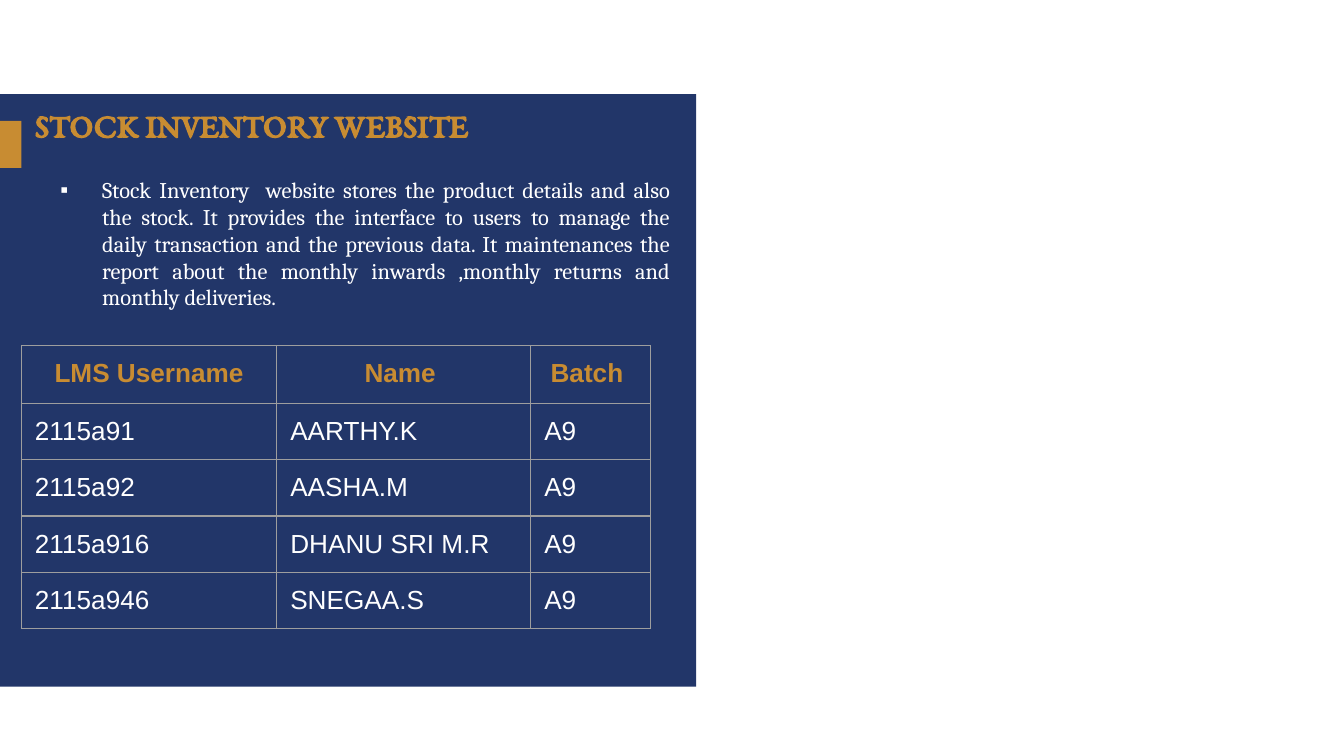
from typing import NamedTuple

from lxml.etree import SubElement
from pptx import Presentation
from pptx.dml.color import RGBColor
from pptx.enum.shapes import MSO_SHAPE
from pptx.enum.text import MSO_ANCHOR, MSO_AUTO_SIZE, PP_ALIGN
from pptx.oxml.ns import qn
from pptx.util import Inches, Pt

NAVY = RGBColor(0x22, 0x36, 0x69)
GOLD = RGBColor(0xC8, 0x8C, 0x32)
WHITE = RGBColor(0xFF, 0xFF, 0xFF)
GREY = RGBColor(0x9E, 0x9E, 0x9E)

WIDTH = Inches(10)
HEIGHT = WIDTH * 9 // 16
MARGIN = Inches(0.16)


class Area(NamedTuple):
    left: int
    top: int
    width: int
    height: int


class Band(NamedTuple):
    area: Area
    color: RGBColor


class TextStyle(NamedTuple):
    name: str
    size: Pt
    color: RGBColor
    bold: bool = False


TITLE_STYLE = TextStyle("EB Garamond", Pt(18.3), GOLD, True)
SUMMARY_STYLE = TextStyle("Cambria", Pt(12), WHITE)
HEADER_STYLE = TextStyle("Arial", Pt(14), GOLD, True)
MEMBER_STYLE = TextStyle("Arial", Pt(14), WHITE)

BANDS = [
    Band(Area(0, Inches(0.7), Inches(5.18), Inches(4.41)), NAVY),
    Band(Area(0, Inches(0.9), MARGIN, Inches(0.35)), GOLD),
]
TITLE_AREA = Area(MARGIN, Inches(0.73), Inches(4.21), Inches(0.38))
SUMMARY_AREA = Area(MARGIN, Inches(1.26), Inches(4.93), Inches(1.12))

SUMMARY = (
    "Stock Inventory  website stores the product details and also the stock. "
    "It provides the interface to users to manage the daily transaction and the "
    "previous data. It maintenances the report about the monthly inwards ,monthly "
    "returns and monthly deliveries."
)
COLUMN_WIDTHS = [Inches(1.9), Inches(1.89), Inches(0.89)]
HEADER_HEIGHT, MEMBER_HEIGHT = Inches(0.43), Inches(0.42)
TEAM = [
    ("LMS Username", "Name ", "Batch "),
    ("2115a91", "AARTHY.K", "A9"),
    ("2115a92", "AASHA.M", "A9"),
    ("2115a916", "DHANU SRI M.R", "A9"),
    ("2115a946", "SNEGAA.S", "A9"),
]


def write(frame, text: str, style: TextStyle, align: PP_ALIGN):
    paragraph = frame.paragraphs[0]
    paragraph.alignment = align
    run = paragraph.add_run()
    run.text = text
    for attribute, value in style._asdict().items():
        if attribute == "color":
            run.font.color.rgb = value
        else:
            setattr(run.font, attribute, value)
    return paragraph


def fill_placeholder(holder, area: Area, anchor: MSO_ANCHOR, text: str,
                     style: TextStyle, align: PP_ALIGN):
    for attribute, value in area._asdict().items():
        setattr(holder, attribute, value)
    frame = holder.text_frame
    settings = {"auto_size": MSO_AUTO_SIZE.NONE, "word_wrap": True,
                "vertical_anchor": anchor}
    for attribute, value in settings.items():
        setattr(frame, attribute, value)
    paragraph = write(frame, text, style, align)
    paragraph.space_before = Pt(0)
    return paragraph


def add_bullet(paragraph, mark: str, color: RGBColor) -> None:
    properties = paragraph._p.get_or_add_pPr()
    properties.set("marL", str(Inches(0.5)))
    properties.set("indent", str(Inches(-0.31)))
    bullet_color = SubElement(properties, qn("a:buClr"))
    SubElement(bullet_color, qn("a:srgbClr"), val=str(color))
    SubElement(properties, qn("a:buFont"), typeface="Arial")
    SubElement(properties, qn("a:buChar"), char=mark)


def draw_band(slide, band: Band, depth: int) -> None:
    """Draw a plain rectangle behind the placeholders, depth 0 being rearmost."""
    shape = slide.shapes.add_shape(MSO_SHAPE.RECTANGLE, *band.area)
    shape.shadow.inherit = False
    shape.fill.solid()
    shape.fill.fore_color.rgb = band.color
    shape.line.fill.background()
    slide.shapes._spTree.insert(2 + depth, shape._element)


def outline_cell(cell) -> None:
    properties = cell._tc.get_or_add_tcPr()
    for position, side in enumerate(("a:lnL", "a:lnR", "a:lnT", "a:lnB")):
        line = SubElement(properties, qn(side), w=str(Pt(0.75)))
        fill = SubElement(line, qn("a:solidFill"))
        SubElement(fill, qn("a:srgbClr"), val=str(GREY))
        properties.insert(position, line)


def draw_team_table(slide) -> None:
    heights = [HEADER_HEIGHT] + [MEMBER_HEIGHT] * (len(TEAM) - 1)
    table = slide.shapes.add_table(
        len(TEAM), len(COLUMN_WIDTHS), MARGIN, Inches(2.57),
        sum(COLUMN_WIDTHS), sum(heights)).table
    table.first_row = table.horz_banding = False
    for column, width in zip(table.columns, COLUMN_WIDTHS):
        column.width = width
    for row, height, entries in zip(table.rows, heights, TEAM):
        row.height = height
        is_header = entries is TEAM[0]
        style = HEADER_STYLE if is_header else MEMBER_STYLE
        align = PP_ALIGN.CENTER if is_header else PP_ALIGN.LEFT
        for cell, entry in zip(row.cells, entries):
            for side in ("left", "right", "top", "bottom"):
                setattr(cell, f"margin_{side}", Inches(0.1))
            cell.fill.background()
            outline_cell(cell)
            write(cell.text_frame, entry, style, align)


def main() -> None:
    deck = Presentation()
    deck.slide_width, deck.slide_height = WIDTH, HEIGHT
    slide = deck.slides.add_slide(deck.slide_layouts[1])
    for depth, band in enumerate(BANDS):
        draw_band(slide, band, depth)
    fill_placeholder(slide.shapes.title, TITLE_AREA, MSO_ANCHOR.MIDDLE,
                     "STOCK INVENTORY WEBSITE", TITLE_STYLE, PP_ALIGN.LEFT)
    summary = fill_placeholder(slide.placeholders[1], SUMMARY_AREA, MSO_ANCHOR.TOP,
                               SUMMARY, SUMMARY_STYLE, PP_ALIGN.JUSTIFY)
    add_bullet(summary, "▪", WHITE)
    draw_team_table(slide)
    deck.save("out.pptx")


if __name__ == "__main__":
    main()
